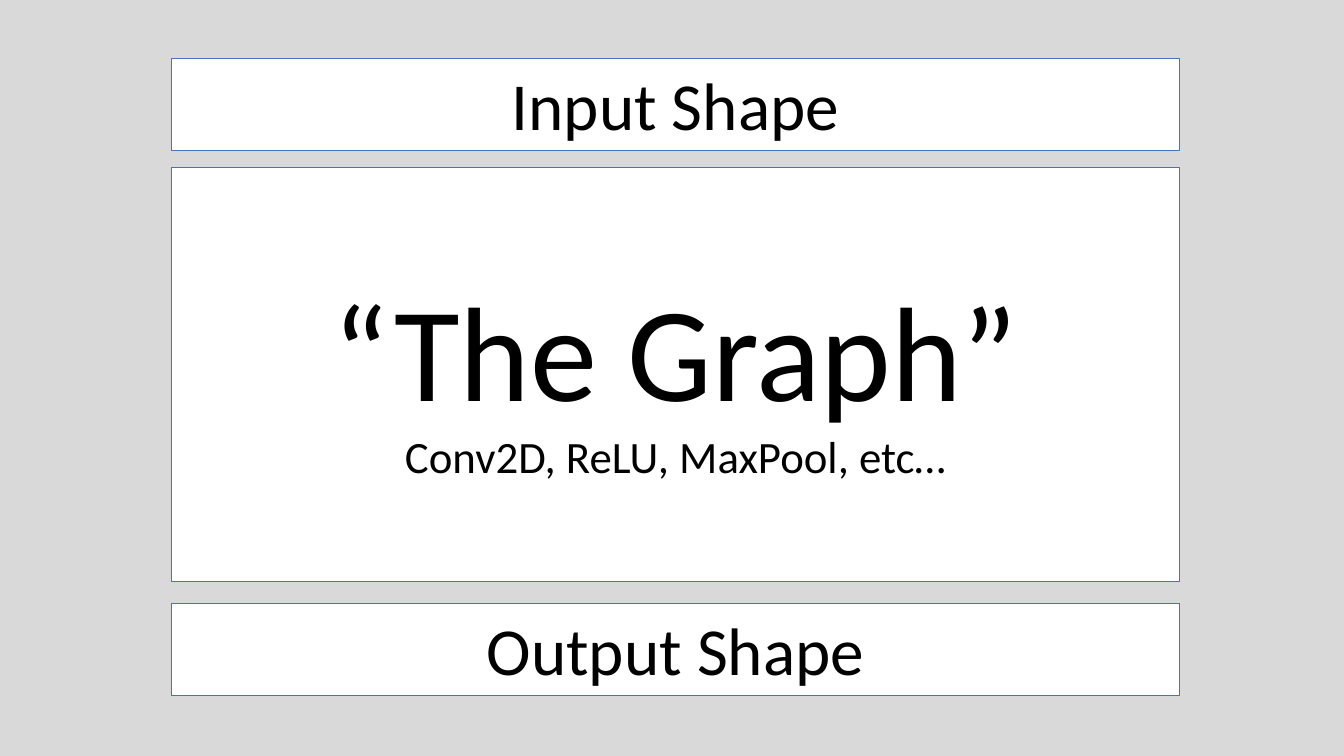
from pptx import Presentation
from pptx import util as u
from pptx.dml.color import RGBColor
from pptx.enum import shapes, text

COLORS = {"backdrop": "D9D9D9", "box": "FFFFFF", "border": "4472C4", "text": "000000"}
FONT = "Calibri"
SLIDE_W, SLIDE_H = 13.33, 7.5
BOX_LEFT, BOX_W = 1.7, 10
LABEL_H = 0.91


def rgb(name):
    return RGBColor.from_string(COLORS[name])


def add_rect(s, left, top, width, height, fill):
    sp = s.shapes.add_shape(shapes.MSO_SHAPE.RECTANGLE, u.Inches(left), u.Inches(top),
                            u.Inches(width), u.Inches(height))
    sp.shadow.inherit = False
    sp.fill.solid()
    sp.fill.fore_color.rgb = rgb(fill)
    sp.line.fill.background()
    return sp


def add_box(s, top, height, lines, anchor, auto_size):
    sp = add_rect(s, BOX_LEFT, top, BOX_W, height, "box")
    sp.line.color.rgb = rgb("border")
    sp.line.width = u.Pt(0.5)
    tf = sp.text_frame
    tf.word_wrap = True
    tf.vertical_anchor = anchor
    tf.auto_size = auto_size
    for i, (words, size) in enumerate(lines):
        p = tf.add_paragraph() if i else tf.paragraphs[0]
        p.alignment = text.PP_ALIGN.CENTER
        r = p.add_run()
        r.text = words
        r.font.name = FONT
        r.font.size = u.Pt(size)
        r.font.color.rgb = rgb("text")


def add_label(s, top, words):
    add_box(s, top, LABEL_H, [(words, 48)], text.MSO_ANCHOR.TOP,
            text.MSO_AUTO_SIZE.SHAPE_TO_FIT_TEXT)


def main():
    prs = Presentation()
    prs.slide_width = u.Inches(SLIDE_W)
    prs.slide_height = u.Inches(SLIDE_H)
    s = prs.slides.add_slide(prs.slide_layouts[6])
    add_rect(s, 0, 0, SLIDE_W, SLIDE_H, "backdrop")
    add_label(s, 0.58, "Input Shape")
    add_box(s, 1.66, 4.11, [("“The Graph”", 96), ("Conv2D, ReLU, MaxPool, etc…", 32)],
            text.MSO_ANCHOR.MIDDLE, text.MSO_AUTO_SIZE.NONE)
    add_label(s, 5.99, "Output Shape")
    prs.save("out.pptx")


main()
